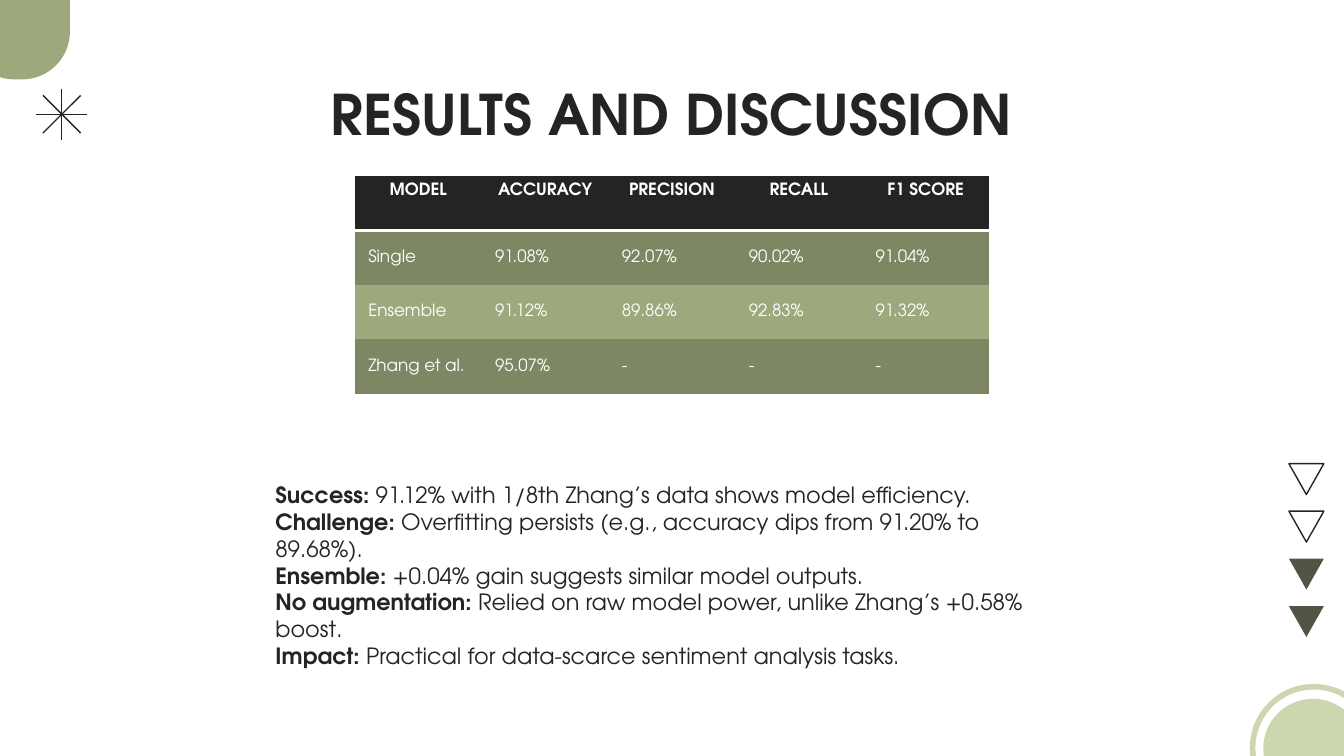
from typing import NamedTuple, Optional

from lxml import etree
from pptx import Presentation
from pptx.enum import shapes, text
from pptx.dml.color import RGBColor
from pptx.oxml import ns
from pptx.util import Inches, Pt

FONT = "TeX Gyre Adventor"
COLORS = {
    "ink": "242424",
    "white": "FFFFFF",
    "sage": "9DA87C",
    "olive": "7E8763",
    "moss": "515544",
    "pale": "CCD6AF",
}
SHAPE = shapes.MSO_SHAPE


class Ornament(NamedTuple):
    kind: SHAPE
    left: float
    top: float
    width: float
    height: float
    fill: Optional[str] = None
    line: Optional[str] = None
    weight: float = 0.75
    rotation: float = 0


class Finding(NamedTuple):
    label: str
    detail: str


ORNAMENTS = [
    Ornament(SHAPE.ROUND_2_SAME_RECTANGLE, -0.25, -0.12, 0.77, 0.71, fill="sage", rotation=180),
    Ornament(SHAPE.OVAL, 9.32, 5.11, 0.91, 0.91, line="pale", weight=3),
    Ornament(SHAPE.OVAL, 9.4, 5.2, 0.74, 0.74, fill="pale"),
] + [
    Ornament(SHAPE.ISOSCELES_TRIANGLE, 9.59, 3.45 + 1.06 * i / 3, 0.26, 0.23,
             fill=None if i < 2 else "moss", line="ink" if i < 2 else None, rotation=180)
    for i in range(4)
]

RESULTS = [
    ["MODEL", "ACCURACY", "PRECISION", "RECALL", "F1 SCORE"],
    ["Single", "91.08%", "92.07%", "90.02%", "91.04%"],
    ["Ensemble", "91.12%", "89.86%", "92.83%", "91.32%"],
    ["Zhang et al.", "95.07%", "-", "-", "-"],
]
ROW_FILLS = ["ink", "olive", "sage", "olive"]

FINDINGS = [
    Finding("Success: ", "91.12% with 1/8th Zhang’s data shows model efficiency."),
    Finding("Challenge: ", "Overfitting persists (e.g., accuracy dips from 91.20% to 89.68%)."),
    Finding("Ensemble: ", "+0.04% gain suggests similar model outputs."),
    Finding("No augmentation: ", "Relied on raw model power, unlike Zhang’s +0.58% boost."),
    Finding("Impact: ", "Practical for data-scarce sentiment analysis tasks."),
]


def rgb(name: str) -> RGBColor:
    return RGBColor.from_string(COLORS[name])


def add_run(p, content: str, *, size: float, color: str = "ink", bold: bool = False) -> None:
    r = p.add_run()
    r.text = content
    r.font.name = FONT
    r.font.size = Pt(size)
    r.font.bold = bold
    r.font.color.rgb = rgb(color)


def add_text_frame(s, left: float, top: float, width: float, height: float):
    """Add a wrapping text box with equal insets and return its frame."""
    tf = s.shapes.add_textbox(Inches(left), Inches(top), Inches(width), Inches(height)).text_frame
    tf.word_wrap = True
    tf.margin_left = tf.margin_right = tf.margin_top = tf.margin_bottom = Inches(0.1)
    return tf


def draw_ornament(s, o: Ornament) -> None:
    sp = s.shapes.add_shape(o.kind, Inches(o.left), Inches(o.top), Inches(o.width), Inches(o.height))
    sp.shadow.inherit = False
    sp.rotation = o.rotation
    if o.kind == SHAPE.ROUND_2_SAME_RECTANGLE:
        sp.adjustments[0] = 0.5
    if o.fill:
        sp.fill.solid()
        sp.fill.fore_color.rgb = rgb(o.fill)
    else:
        sp.fill.background()
    if o.line:
        sp.line.color.rgb = rgb(o.line)
        sp.line.width = Pt(o.weight)
    else:
        sp.line.fill.background()


def draw_asterisk(s, cx: float, cy: float, arm: float, diagonal: float) -> None:
    for dx, dy in [(diagonal, diagonal), (-diagonal, diagonal), (0, arm), (arm, 0)]:
        line = s.shapes.add_connector(
            shapes.MSO_CONNECTOR.STRAIGHT,
            Inches(cx - dx), Inches(cy - dy), Inches(cx + dx), Inches(cy + dy))
        line.line.color.rgb = rgb("ink")
        line.line.width = Pt(0.75)
        etree.SubElement(line._element.spPr, ns.qn("a:effectLst"))


def set_borders(cell, white_side: Optional[str]) -> None:
    """Clear every border but white_side, which becomes a 2 pt white line."""
    tc_pr = cell._tc.get_or_add_tcPr()
    for side in ("lnL", "lnR", "lnT", "lnB"):
        ln = etree.SubElement(tc_pr, ns.qn("a:" + side))
        if side == white_side:
            ln.set("w", str(Pt(2)))
            fill = etree.SubElement(ln, ns.qn("a:solidFill"))
            etree.SubElement(fill, ns.qn("a:srgbClr"), val=COLORS["white"])
        else:
            etree.SubElement(ln, ns.qn("a:noFill"))


def draw_results(s) -> None:
    table = s.shapes.add_table(len(RESULTS), len(RESULTS[0]), Inches(2.64), Inches(1.31),
                               Inches(4.72), Inches(1.62)).table
    for i, values in enumerate(RESULTS):
        header = i == 0
        for j, value in enumerate(values):
            cell = table.cell(i, j)
            set_borders(cell, {0: "lnB", 1: "lnT"}.get(i))
            cell.fill.solid()
            cell.fill.fore_color.rgb = rgb(ROW_FILLS[i])
            cell.vertical_anchor = text.MSO_ANCHOR.TOP if header else text.MSO_ANCHOR.MIDDLE
            p = cell.text_frame.paragraphs[0]
            p.alignment = text.PP_ALIGN.CENTER if header else text.PP_ALIGN.LEFT
            add_run(p, value, size=9, color="white", bold=header)


def draw_findings(s) -> None:
    tf = add_text_frame(s, 1.95, 3.48, 6.09, 1.27)
    for i, finding in enumerate(FINDINGS):
        p = tf.add_paragraph() if i else tf.paragraphs[0]
        add_run(p, finding.label, size=12, bold=True)
        add_run(p, finding.detail, size=12)


def main() -> None:
    prs = Presentation()
    prs.slide_width, prs.slide_height = Inches(10), Inches(10 * 9 / 16)
    s = prs.slides.add_slide(prs.slide_layouts[6])
    for ornament in ORNAMENTS:
        draw_ornament(s, ornament)
    draw_asterisk(s, 0.46, 0.85, arm=0.19, diagonal=0.14)
    title = add_text_frame(s, 0.78, 0.49, 8.43, 0.63).paragraphs[0]
    title.alignment = text.PP_ALIGN.CENTER
    add_run(title, "RESULTS AND DISCUSSION", size=30, bold=True)
    draw_results(s)
    draw_findings(s)
    prs.save("out.pptx")


if __name__ == "__main__":
    main()
